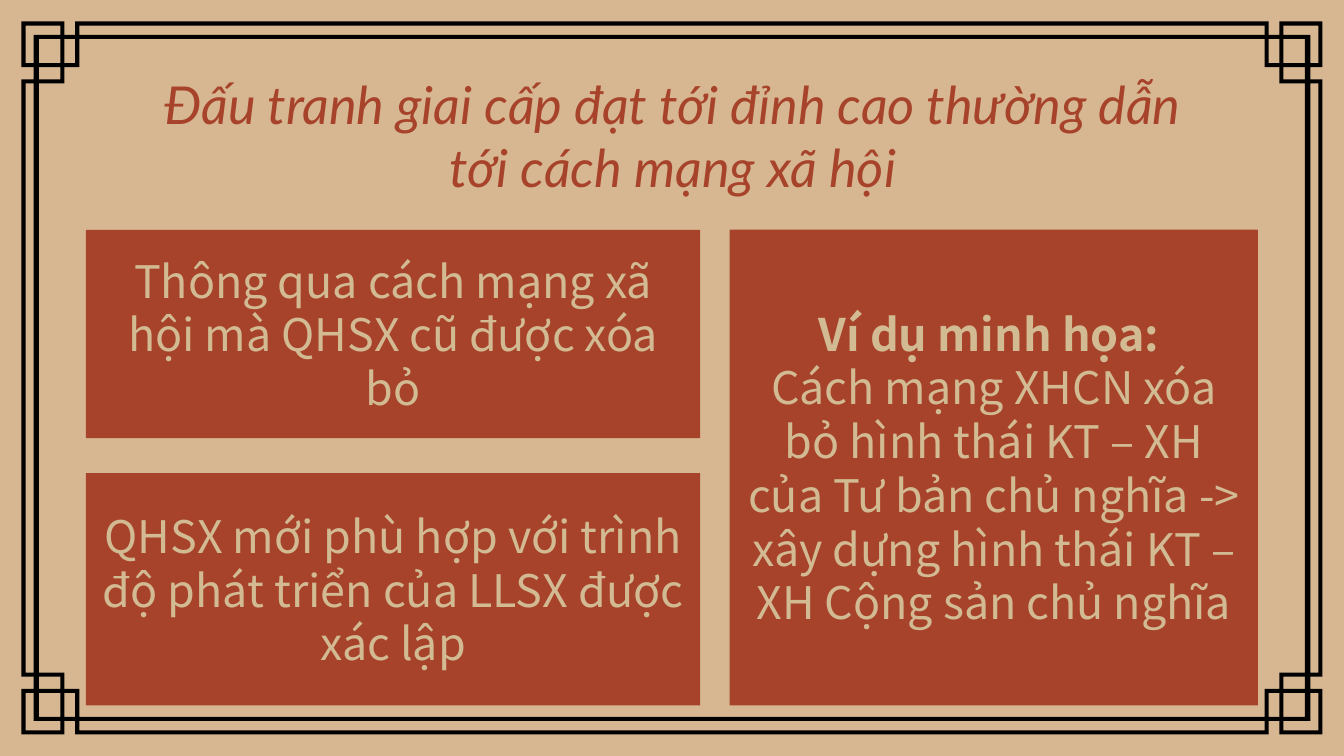
from dataclasses import dataclass

from pptx import Presentation
from pptx.dml.color import RGBColor
from pptx.enum.shapes import MSO_SHAPE as Preset
from pptx.enum.text import MSO_ANCHOR as Anchor, PP_ALIGN as Align
from pptx.util import Inches, Pt


@dataclass(frozen=True)
class Theme:
    sand: RGBColor = RGBColor(0xD6, 0xB7, 0x91)
    cream: RGBColor = RGBColor(0xD2, 0xBA, 0x93)
    brick: RGBColor = RGBColor(0xA8, 0x43, 0x2B)
    ink: RGBColor = RGBColor(0, 0, 0)
    title_font: str = "Lato"
    body_font: str = "Noto Sans CJK JP"
    title_size: Pt = Pt(28)
    body_size: Pt = Pt(24)
    body_leading: Pt = Pt(28.8)


THEME = Theme()
WIDTH = 10
HEIGHT = WIDTH * 9 / 16


def rectangle(left, top, right, bottom):
    return [(left, top), (right, top), (right, bottom), (left, bottom)]


def frame_contours(width, height):
    def flip_x(points):
        return [(width - x, y) for x, y in points]

    def flip_y(points):
        return [(x, height - y) for x, y in points]

    def ring(corner):
        upper = corner + flip_x(corner)[::-1]
        return upper + flip_y(upper)[::-1]

    outline = ring([
        (0.16, 0.59), (0.25, 0.59), (0.25, 0.5), (0.16, 0.5), (0.16, 0.16),
        (0.48, 0.16), (0.48, 0.26), (0.56, 0.26), (0.56, 0.16),
    ])
    opening = ring([
        (0.29, 0.62), (0.48, 0.62), (0.48, 0.5), (0.59, 0.5), (0.59, 0.29),
    ])
    rail = rectangle(0.59, 0.19, width - 0.59, 0.26)
    post = rectangle(0.19, 0.62, 0.25, height - 0.62)
    contours = [outline, opening, rail, flip_y(rail), post, flip_x(post)]

    corner_gaps = [
        [(0.19, 0.19), (0.45, 0.19), (0.45, 0.26),
         (0.25, 0.26), (0.25, 0.47), (0.19, 0.47)],
        rectangle(0.29, 0.29, 0.45, 0.47),
        rectangle(0.48, 0.29, 0.56, 0.47),
        rectangle(0.29, 0.5, 0.45, 0.59),
    ]
    for gap in corner_gaps:
        contours += [gap, flip_x(gap), flip_y(gap), flip_x(flip_y(gap))]
    return contours


def add_frame(page, width, height):
    first, *others = [
        [(Inches(x), Inches(y)) for x, y in contour]
        for contour in frame_contours(width, height)
    ]
    builder = page.shapes.build_freeform(*first[0])
    builder.add_line_segments(first[1:], close=True)
    for contour in others:
        builder.move_to(*contour[0])
        builder.add_line_segments(contour[1:], close=True)
    frame = builder.convert_to_shape()
    frame.shadow.inherit = False
    frame.fill.solid()
    frame.fill.fore_color.rgb = THEME.ink
    frame.line.fill.background()


def prepare_text(box):
    text = box.text_frame
    text.word_wrap = True
    text.vertical_anchor = Anchor.MIDDLE
    text.margin_left = text.margin_right = Inches(0.1)
    text.margin_top = text.margin_bottom = Inches(0.1)
    return text


def style(para, font, size, color):
    para.alignment = Align.CENTER
    para.font.name = font
    para.font.size = size
    para.font.color.rgb = color


def add_title(page, left, top, width, height, wording):
    box = page.shapes.add_textbox(
        Inches(left), Inches(top), Inches(width), Inches(height))
    para = prepare_text(box).paragraphs[0]
    para.text = wording
    style(para, THEME.title_font, THEME.title_size, THEME.brick)
    para.font.italic = True


def add_card(page, left, top, width, height, wording, heading=None):
    card = page.shapes.add_shape(
        Preset.RECTANGLE,
        Inches(left), Inches(top), Inches(width), Inches(height))
    card.shadow.inherit = False
    card.fill.solid()
    card.fill.fore_color.rgb = THEME.brick
    card.line.fill.background()
    text = prepare_text(card)
    text.text = f"{heading}\n{wording}" if heading else wording
    for para in text.paragraphs:
        style(para, THEME.body_font, THEME.body_size, THEME.cream)
        para.line_spacing = THEME.body_leading
    if heading:
        text.paragraphs[0].font.bold = True


def add_cards(page, left, top, width, height):
    main_width, side_width = 4.57, 3.93
    upper_height, lower_height = 1.55, 1.73
    add_card(page, left, top, main_width, upper_height,
             "Thông qua cách mạng xã hội mà QHSX cũ được xóa bỏ")
    add_card(page, left, top + height - lower_height, main_width, lower_height,
             "QHSX mới phù hợp với trình độ phát triển của LLSX được xác lập")
    add_card(page, left + width - side_width, top, side_width, height,
             "Cách mạng XHCN xóa bỏ hình thái KT – XH của Tư bản chủ nghĩa -> "
             "xây dựng hình thái KT – XH Cộng sản chủ nghĩa",
             heading="Ví dụ minh họa: ")


def main():
    deck = Presentation()
    deck.slide_width, deck.slide_height = Inches(WIDTH), Inches(HEIGHT)
    page = deck.slides.add_slide(deck.slide_layouts[6])
    page.background.fill.solid()
    page.background.fill.fore_color.rgb = THEME.sand
    add_frame(page, WIDTH, HEIGHT)
    add_title(page, 0.92, 0.77, 8.17, 0.47,
              "Đấu tranh giai cấp đạt tới đỉnh cao thường dẫn "
              "tới cách mạng xã hội")
    add_cards(page, 0.64, 1.71, 8.72, 3.54)
    deck.save("out.pptx")


if __name__ == "__main__":
    main()
